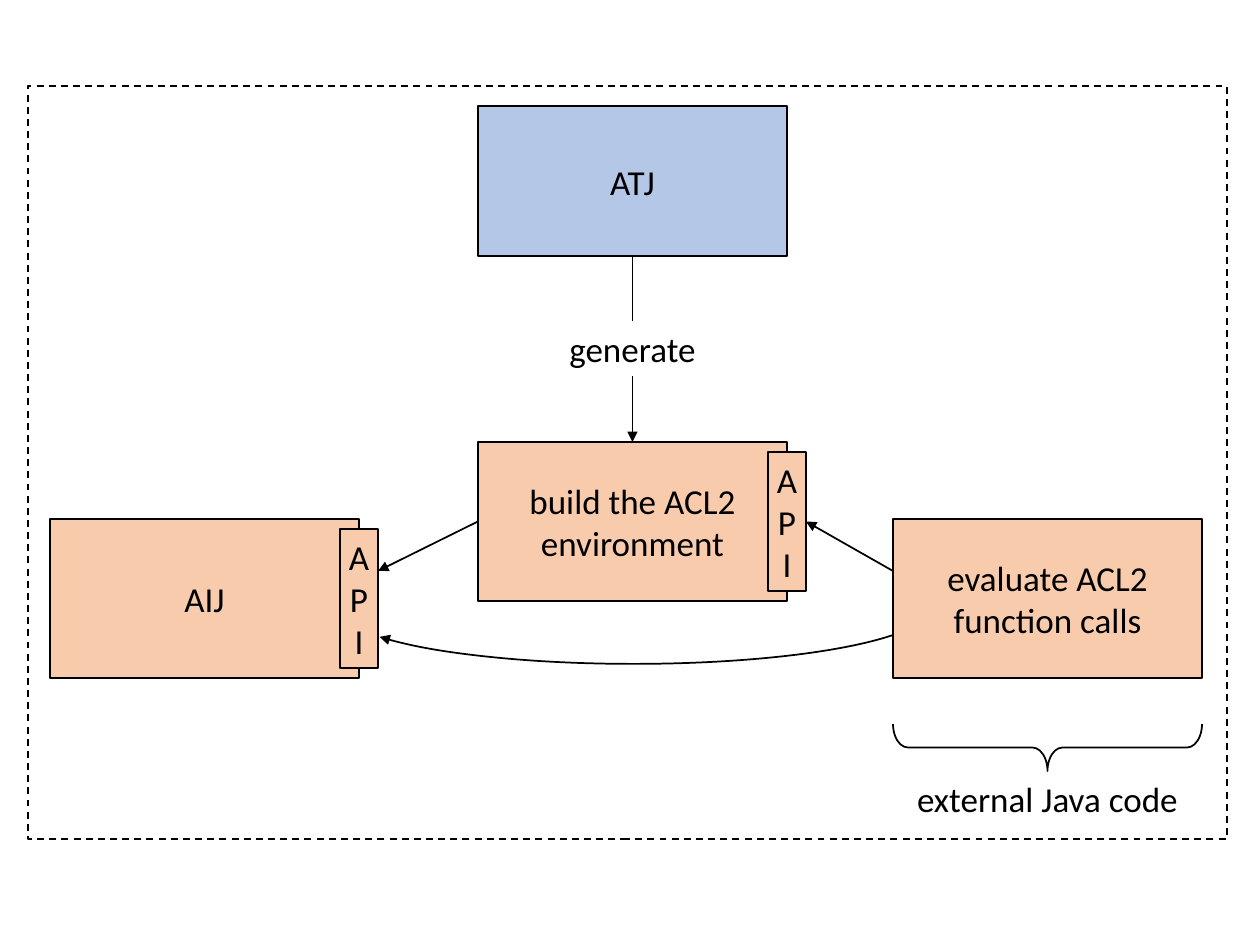
"""Build the ATJ and AIJ code generation diagram slide."""
import pptx
import pptx.dml.color
import pptx.enum.dml
import pptx.enum.shapes
import pptx.enum.text
import pptx.oxml
import pptx.oxml.ns
import pptx.util

RGB = pptx.dml.color.RGBColor
SHAPE = pptx.enum.shapes.MSO_SHAPE
ANCHOR = pptx.enum.text.MSO_ANCHOR
AUTO = pptx.enum.text.MSO_AUTO_SIZE
BLACK = RGB(0x00, 0x00, 0x00)
WHITE = RGB(0xFF, 0xFF, 0xFF)
PEACH = RGB(0xF8, 0xCB, 0xAD)
BLUE = RGB(0xB4, 0xC7, 0xE7)

SLIDE = (1260, 945)
FRAME = (28, 86, 1199, 753)
ARC = (336, 551, 595, 113)
BOX_W, BOX_H = 309, 159
BOXES = {
    "AIJ": (50, 519, BOX_H, PEACH, "AIJ"),
    "build": (478, 442, BOX_H, PEACH, "build the ACL2\nenvironment"),
    "evaluate": (893, 519, BOX_H, PEACH, "evaluate ACL2\nfunction calls"),
    "ATJ": (478, 106, 150, BLUE, "ATJ"),
}
API_OWNERS = ["AIJ", "build"]
API_DX, API_DY, API_W, API_H = 290, 10, 38, 139
API_PAD = 4
LABEL_H = 55
GENERATE_W, GENERATE_Y = 155, 321
BRACE_GAP, BRACE_H = 46, 47
FONT = {"name": "Calibri", "size": pptx.util.Pt(20)}


def px(n):
    return round(n * 914400 / 126)


def write(shape, text, **frame):
    tf = shape.text_frame
    settings = {"word_wrap": True, "vertical_anchor": ANCHOR.TOP} | frame
    for name, value in settings.items():
        setattr(tf, name, value)
    tf.text = text
    for p in tf.paragraphs:
        p.alignment = pptx.enum.text.PP_ALIGN.CENTER
        for name, value in FONT.items():
            setattr(p.runs[0].font, name, value)
        p.runs[0].font.color.rgb = BLACK


def outline(shape):
    shape.line.color.rgb = BLACK
    shape.line.width = pptx.util.Pt(1)


def arrowhead(shape, end):
    ln = shape.line._get_or_add_ln()
    pptx.oxml.ns.qn("a:ln")
    head = pptx.oxml.parse_xml(
        f'<a:{end} xmlns:a="{pptx.oxml.ns.nsuri("a")}" type="triangle"/>')
    ln.append(head)


def add_shape(s, kind, at, fill=None):
    sp = s.shapes.add_shape(kind, *map(px, at))
    sp.shadow.inherit = False
    if fill is None:
        sp.fill.background()
    else:
        sp.fill.solid()
        sp.fill.fore_color.rgb = fill
    outline(sp)
    return sp


def add_label(s, at, text, wrap=True):
    sp = s.shapes.add_textbox(*map(px, at))
    write(sp, text, word_wrap=wrap, auto_size=AUTO.SHAPE_TO_FIT_TEXT)
    return sp


def add_arrow(s, start, end, begin_at=None, end_at=None):
    straight = pptx.enum.shapes.MSO_CONNECTOR.STRAIGHT
    c = s.shapes.add_connector(straight, *map(px, start + end))
    if begin_at:
        c.begin_connect(*begin_at)
    if end_at:
        c.end_connect(*end_at)
    outline(c)
    arrowhead(c, "tailEnd")
    effects = f'<a:effectLst xmlns:a="{pptx.oxml.ns.nsuri("a")}"/>'
    c._element.spPr.append(pptx.oxml.parse_xml(effects))


def main():
    prs = pptx.Presentation()
    prs.slide_width, prs.slide_height = map(px, SLIDE)
    s = prs.slides.add_slide(prs.slide_layouts[6])

    arc = add_shape(s, SHAPE.ARC, ARC)
    arc.adjustments[0], arc.adjustments[1] = 111.97, 212.38
    arc._element.spPr.find(pptx.oxml.ns.qn("a:xfrm")).set("flipV", "1")
    arrowhead(arc, "headEnd")

    boxes, apis = {}, {}
    for name, (x, y, h, fill, text) in BOXES.items():
        boxes[name] = add_shape(s, SHAPE.RECTANGLE, (x, y, BOX_W, h), fill)
        write(boxes[name], text, vertical_anchor=ANCHOR.MIDDLE)
    for name in API_OWNERS:
        x, y = BOXES[name][0] + API_DX, BOXES[name][1] + API_DY
        apis[name] = add_shape(s, SHAPE.RECTANGLE, (x, y, API_W, API_H), PEACH)
        add_label(s, (x - API_PAD, y, API_W + 2 * API_PAD, API_H), "A\nP\nI")

    build_x, build_y = BOXES["build"][:2]
    eval_x, eval_y = BOXES["evaluate"][:2]
    center = build_x + BOX_W / 2
    api_right = build_x + API_DX + API_W
    low, high = 571, build_y + BOX_H / 2
    add_arrow(s, (center, 256), (center, build_y),
              (boxes["ATJ"], 2), (boxes["build"], 0))
    add_arrow(s, (build_x, high), (378, low), begin_at=(boxes["build"], 1))
    add_arrow(s, (eval_x, low), (api_right, high), end_at=(apis["build"], 3))

    at = (center - GENERATE_W / 2, GENERATE_Y, GENERATE_W, LABEL_H)
    generate = add_label(s, at, "generate")
    generate.fill.solid()
    generate.fill.fore_color.rgb = WHITE

    brace_y = eval_y + BOX_H + BRACE_GAP
    add_label(s, (eval_x + 10, brace_y + BRACE_H, BOX_W - 20, LABEL_H),
              "external Java code", wrap=False)
    brace_at = (eval_x + (BOX_W - BRACE_H) / 2,
                brace_y + (BRACE_H - BOX_W) / 2, BRACE_H, BOX_W)
    brace = add_shape(s, SHAPE.LEFT_BRACE, brace_at)
    brace.rotation = 270
    brace.adjustments[0], brace.adjustments[1] = 0.32, 0.5

    frame = add_shape(s, SHAPE.RECTANGLE, FRAME)
    frame.line.dash_style = pptx.enum.dml.MSO_LINE.DASH
    prs.save("out.pptx")


if __name__ == "__main__":
    main()
